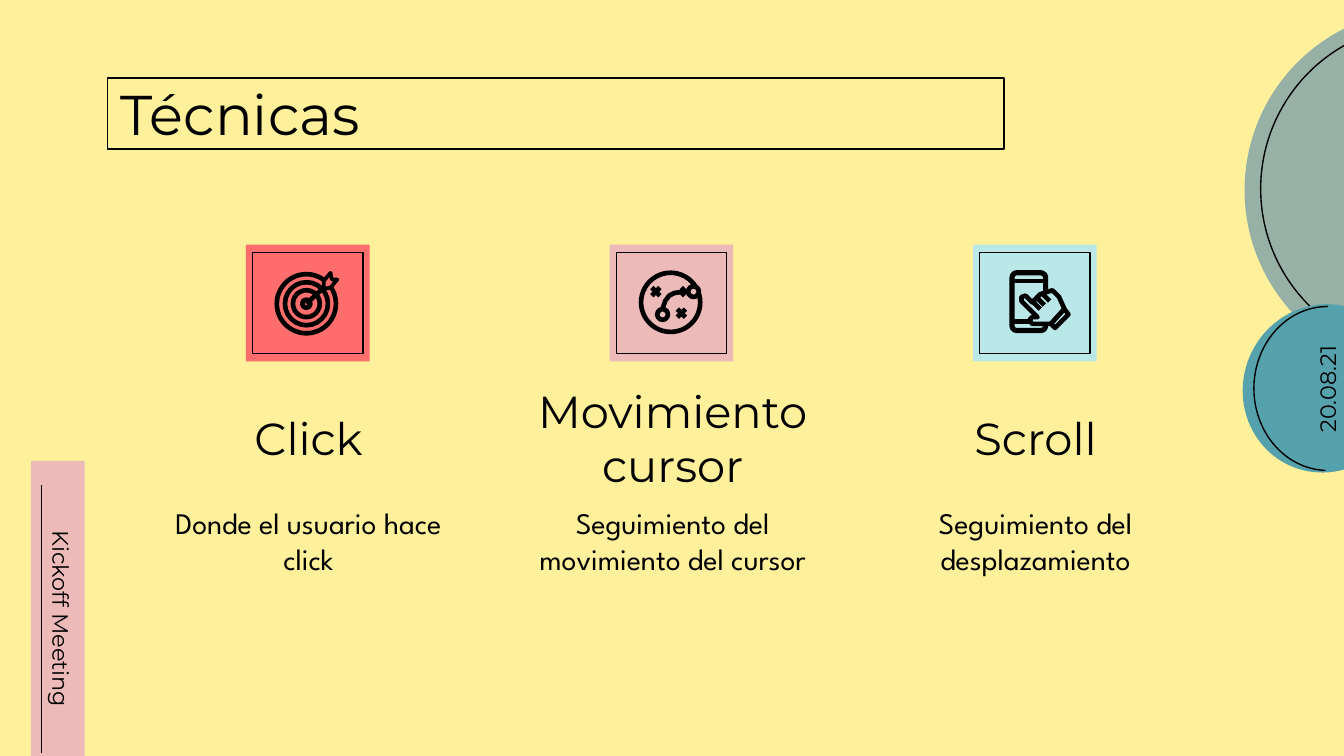
"""Build the "Técnicas" slide with three tracking techniques."""
from lxml.etree import SubElement
from pptx import Presentation
from pptx.dml.color import RGBColor
from pptx.enum.shapes import MSO_CONNECTOR as Connector, MSO_SHAPE as Shape
from pptx.enum.text import MSO_ANCHOR as Anchor, PP_ALIGN as Align
from pptx.oxml.ns import qn
from pptx.util import Inches, Pt

BLACK = RGBColor(0x00, 0x00, 0x00)
YELLOW = RGBColor(0xFF, 0xF0, 0x9C)
SAGE = RGBColor(0x97, 0xB1, 0xA6)
TEAL = RGBColor(0x55, 0xA2, 0xAC)
PINK = RGBColor(0xEB, 0xBA, 0xB9)
RED = RGBColor(0xFF, 0x6E, 0x6C)
AQUA = RGBColor(0xBA, 0xE8, 0xE8)

deck = Presentation()
deck.slide_width, deck.slide_height = Inches(10), Inches(10 * 9 / 16)
page = deck.slides.add_slide(deck.slide_layouts[6])
page.background.fill.solid()
page.background.fill.fore_color.rgb = YELLOW


def draw(kind, left, top, width, height, fill=None, line=0, turn=0, adjust=()):
    shape = page.shapes.add_shape(kind, Inches(left), Inches(top), Inches(width), Inches(height))
    shape.shadow.inherit = False
    shape.rotation = turn
    for index, value in enumerate(adjust):
        shape.adjustments[index] = value
    if fill:
        shape.fill.solid()
        shape.fill.fore_color.rgb = fill
    else:
        shape.fill.background()
    if line:
        shape.line.color.rgb = BLACK
        shape.line.width = Pt(line)
    else:
        shape.line.fill.background()
    return shape


def write(text, left, top, width, height, size=24, font="Montserrat", align=Align.CENTER, turn=0):
    box = page.shapes.add_textbox(Inches(left), Inches(top), Inches(width), Inches(height))
    box.rotation = turn
    frame = box.text_frame
    frame.word_wrap = True
    frame.vertical_anchor = Anchor.MIDDLE
    frame.margin_left = frame.margin_right = Inches(0.1)
    frame.margin_top = frame.margin_bottom = Inches(0.1)
    para = frame.paragraphs[0]
    para.alignment = align
    span = para.add_run()
    span.text = text
    span.font.name = font
    span.font.size = Pt(size)
    span.font.color.rgb = BLACK
    return box


draw(Shape.OVAL, 9.26, 0.07, 2.69, 2.69, fill=SAGE)
draw(Shape.OVAL, 9.38, 0.18, 2.45, 2.45, line=0.75)
draw(Shape.RECTANGLE, -0.74, 4.4, 2.34, 0.4, fill=PINK, turn=90)
draw(Shape.CHORD, 9.25, 2.26, 1.21, 1.26, fill=TEAL, turn=22.4, adjust=(27, 162))
draw(Shape.ARC, 9.27, 2.34, 1.22, 1.1, line=0.75, turn=270, adjust=(109.02, 0))
write("Kickoff Meeting", -0.55, 4.47, 2.01, 0.27, size=12, turn=90)
write("20.08.21", 8.87, 2.76, 2.01, 0.27, size=12, turn=270)

title = write("Técnicas", 0.8, 0.58, 6.67, 0.53, size=30, align=Align.LEFT)
title.line.color.rgb = BLACK
title.line.width = Pt(0.75)

techniques = [
    ("Click", "Donde el usuario hace click", RED, 1.05, 2.49),
    ("Movimiento cursor", "Seguimiento del movimiento del cursor", PINK, 3.76, 2.49),
    ("Scroll", "Seguimiento del desplazamiento", AQUA, 6.49, 2.43),
]
for column, (name, detail, color, left, width) in enumerate(techniques):
    tile_left = 1.83 + 2.705 * column
    draw(Shape.RECTANGLE, tile_left, 1.82, 0.92, 0.87, fill=color)
    draw(Shape.RECTANGLE, tile_left + 0.05, 1.88, 0.82, 0.75, line=0.75)
    write(name, left, 3.02, width, 0.47)
    write(detail, left, 3.56, width, 0.92, size=16, font="League Spartan")

circles = [
    (2.28, 2.26, 0.22, None), (2.28, 2.26, 0.16, None),
    (2.28, 2.26, 0.1, None), (2.28, 2.26, 0.03, None),
    (4.99, 2.25, 0.22, None), (5.16, 2.17, 0.04, PINK), (4.93, 2.34, 0.04, PINK),
]
for x, y, radius, fill in circles:
    draw(Shape.OVAL, x - radius, y - radius, 2 * radius, 2 * radius, fill=fill, line=2.5)
draw(Shape.ROUNDED_RECTANGLE, 7.53, 2.03, 0.25, 0.43, line=2.75, adjust=(0.14,))

strokes = [
    ([(0.31, 3.61), (0.31, 5.6)], 0.75, None),
    ([(2.28, 2.26), (2.43, 2.12)], 2.5, None),
    ([(2.41, 2.09), (2.46, 2.03), (2.47, 2.08), (2.51, 2.08), (2.46, 2.14), (2.41, 2.15)], 2, RED),
    ([(4.93, 2.3), (4.95, 2.24), (4.98, 2.2), (5.02, 2.18), (5.09, 2.17)], 2.5, None),
    ([(5.07, 2.14), (5.1, 2.17), (5.07, 2.2)], 2.5, None),
    ([(7.53, 2.09), (7.78, 2.09)], 2.5, None),
    ([(7.53, 2.39), (7.78, 2.39)], 2.5, None),
    ([(7.6, 2.24), (7.6, 2.21), (7.63, 2.2), (7.68, 2.25), (7.71, 2.22), (7.74, 2.19),
      (7.77, 2.18), (7.8, 2.17), (7.83, 2.16), (7.88, 2.21), (7.92, 2.3), (7.82, 2.41),
      (7.68, 2.41), (7.66, 2.38), (7.68, 2.36), (7.72, 2.36)], 2.5, AQUA),
    ([(7.92, 2.3), (7.95, 2.34), (7.85, 2.44), (7.82, 2.41)], 2.5, AQUA),
]
for x, y in [(7.69, 2.25), (7.72, 2.22), (7.76, 2.19)]:
    strokes.append(([(x, y), (x + 0.05, y + 0.05)], 2.5, None))
for x, y in [(5.07, 2.33), (4.88, 2.17)]:
    for slope in (1, -1):
        ends = [(x - 0.03, y - 0.03 * slope), (x + 0.03, y + 0.03 * slope)]
        strokes.append((ends, 2.5, None))

for points, weight, fill in strokes:
    corners = [(Inches(x), Inches(y)) for x, y in points]
    if len(corners) == 2:
        mark = page.shapes.add_connector(Connector.STRAIGHT, *corners[0], *corners[1])
        mark.line.color.rgb = BLACK
        SubElement(mark._element.spPr, qn("a:effectLst"))
    else:
        builder = page.shapes.build_freeform(*corners[0], scale=1.0)
        builder.add_line_segments(corners[1:], close=fill is not None)
        mark = builder.convert_to_shape()
        mark.shadow.inherit = False
        mark.line.color.rgb = BLACK
        if fill:
            mark.fill.solid()
            mark.fill.fore_color.rgb = fill
        else:
            mark.fill.background()
    mark.line.width = Pt(weight)

deck.save("out.pptx")
